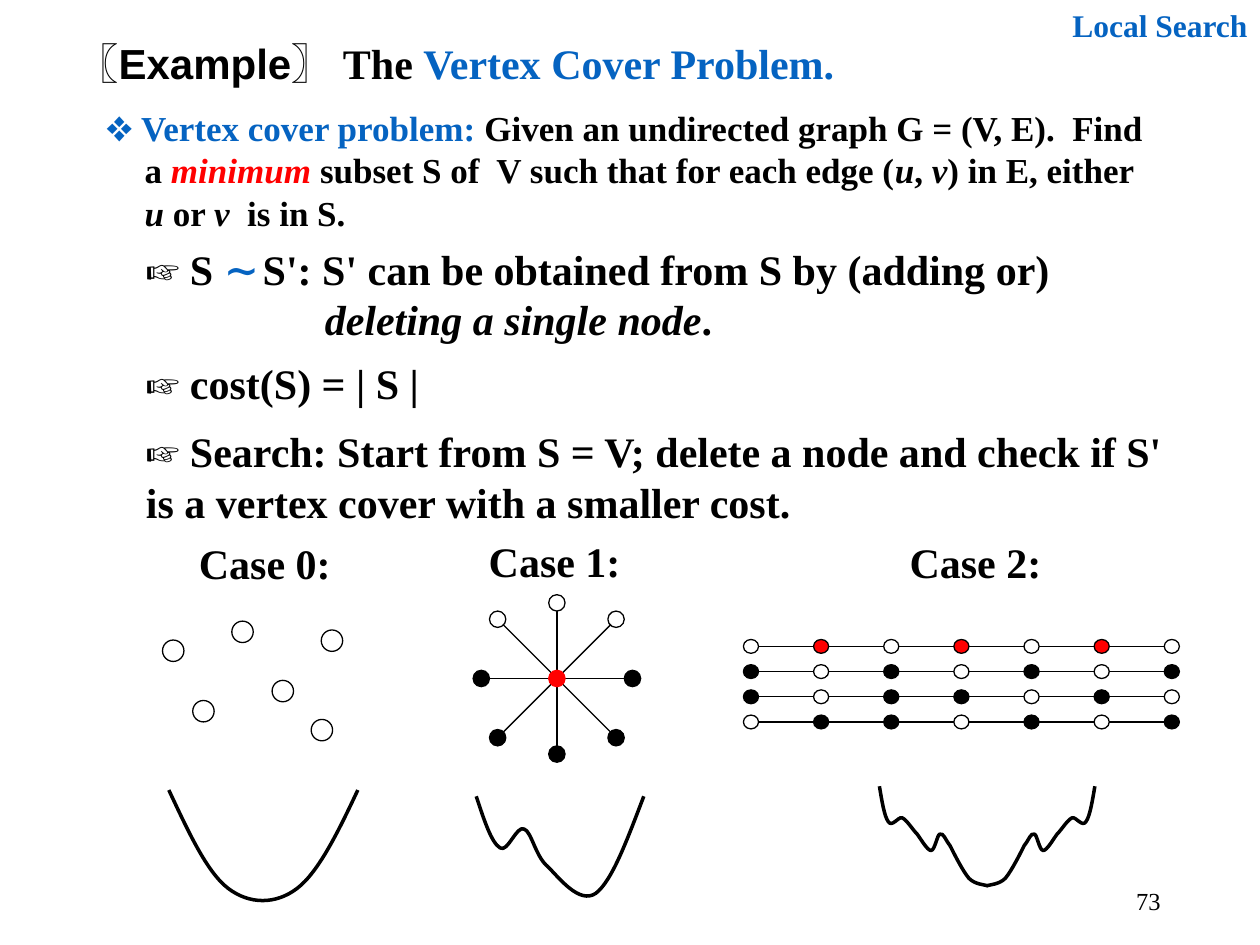
from math import cos, hypot, pi, sin

from lxml.etree import SubElement
from pptx import Presentation
from pptx.dml.color import RGBColor
from pptx.enum.shapes import MSO_CONNECTOR as CONN, MSO_SHAPE as SHAPE
from pptx.enum.text import MSO_ANCHOR as ANCHOR, MSO_AUTO_SIZE as AUTO, PP_ALIGN as ALIGN
from pptx.oxml.ns import qn
from pptx.util import Inches, Pt

COLORS = {"black": "000000", "white": "FFFFFF", "red": "FF0000", "blue": "0563C1"}
BASE = {"name": "Times New Roman", "size": 24, "bold": True, "italic": False, "color": "black"}
CJK = {"name": "Noto Sans CJK SC"}
BLUE = {"color": "blue"}
ITALIC = {"italic": True}
HANGING = (0.31, -0.31)

TEXTS = [
    # box, paragraphs of (text, format) runs, base format, paragraph indents, alignment
    ((7.84, 0, 2.16, 0.4), [[("Local Search", BLUE)]], {"size": 18}, [(0, 0)], ALIGN.RIGHT),
    ((0.51, 0.25, 9, 0.5), [[("〖", CJK), ("Example", {"name": "Arial"}), ("〗 ", CJK),
                             ("The ", {}), ("Vertex Cover Problem.", BLUE)]],
     {}, [HANGING], ALIGN.LEFT),
    ((0.74, 0.8, 8.5, 1.1), [[
        ("❖ Vertex cover problem: ", BLUE),
        ("Given an undirected graph G = (V, E).  Find a ", {}),
        ("minimum", {"color": "red", "italic": True}),
        (" subset S of  V such that for each edge (", {}),
        ("u", ITALIC), (", ", {}), ("v", ITALIC), (") in E, either ", {}),
        ("u", ITALIC), (" or ", {}), ("v", ITALIC), ("  is in S.", {})]],
     {"size": 20}, [HANGING], ALIGN.LEFT),
    ((1.06, 2.79, 2.84, 0.5), [[("☞ cost(S) = | S |", {})]], {}, [(0, 0)], ALIGN.LEFT),
    ((1.06, 1.88, 7.8, 0.9), [
        [("☞ S ", {}), ("∼", BLUE), (" S': S' can be obtained from S by (adding or)", {})],
        [("deleting a single node", ITALIC), (".", {})]],
     {}, [(0, 0), (1.42, 0)], ALIGN.LEFT),
    ((1.06, 3.33, 8.43, 0.9), [[
        ("☞ Search: Start from S = V; delete a node and check if S' "
         "is a vertex cover with a smaller cost.", {})]], {}, [(0, 0)], ALIGN.LEFT),
]
CASE_LABELS = [(1.48, 4.22), (3.78, 4.2), (7.12, 4.21)]

LONE_NODES = [(1.29, 5.08), (1.53, 5.56), (1.84, 4.93), (2.16, 5.4), (2.55, 5), (2.47, 5.71)]
STAR_COLORS = ["black"] * 5 + ["white"] * 3  # clockwise from the right
NODE_COLORS = {"W": "white", "K": "black", "R": "red"}
PATH_ROWS = {5.13: "WRWRWRW", 5.33: "KWKWKWK", 5.53: "KWKKWKW", 5.73: "WKKWKWK"}

# Bezier curves: a start point, then two controls and an end for each piece
VALLEY = [(1.34, 6.27), (1.49, 6.59), (1.64, 6.92), (1.81, 7.05), (1.98, 7.18), (2.19, 7.18),
          (2.36, 7.05), (2.53, 6.92), (2.69, 6.59), (2.84, 6.27)]
LOCAL_DIP = [(3.78, 6.32), (3.84, 6.5), (3.9, 6.69), (3.97, 6.73), (4.03, 6.77), (4.1, 6.55),
             (4.16, 6.58), (4.22, 6.6), (4.25, 6.8), (4.35, 6.88), (4.44, 6.97), (4.6, 7.18),
             (4.73, 7.09), (4.86, 6.99), (4.98, 6.66), (5.11, 6.32)]
MANY_DIPS = [(6.98, 6.24), (7, 6.36), (7.02, 6.48), (7.05, 6.52), (7.08, 6.57), (7.13, 6.48),
             (7.16, 6.49), (7.2, 6.51), (7.24, 6.58), (7.28, 6.62), (7.31, 6.66), (7.36, 6.75),
             (7.39, 6.75), (7.42, 6.75), (7.44, 6.62), (7.46, 6.62), (7.49, 6.61), (7.5, 6.66),
             (7.54, 6.71), (7.57, 6.77), (7.64, 6.91), (7.69, 6.97), (7.74, 7.02), (7.81, 7.02),
             (7.84, 7.03)]
MIRROR_SUM = 15.67  # x values of mirrored points add up to this


def rgb(name):
    return RGBColor.from_string(COLORS[name])


def add_run(p, text, fmt):
    r = p.add_run()
    r.text = text
    values = {**fmt, "size": Pt(fmt["size"])}
    r.font.color.rgb = rgb(values.pop("color"))
    for key, value in values.items():
        setattr(r.font, key, value)
    if fmt["name"] == CJK["name"]:
        SubElement(r.font._element, qn("a:ea"), typeface=fmt["name"])


def add_text(s, box, paragraphs, base, indents, align):
    tf = s.shapes.add_textbox(*map(Inches, box)).text_frame
    tf.word_wrap = True
    tf.auto_size = AUTO.SHAPE_TO_FIT_TEXT
    for i, (runs, (margin, indent)) in enumerate(zip(paragraphs, indents)):
        p = tf.add_paragraph() if i else tf.paragraphs[0]
        p.alignment = align
        if margin:
            pPr = p._p.get_or_add_pPr()
            pPr.set("marL", str(Inches(margin)))
            pPr.set("indent", str(Inches(indent)))
        for text, fmt in runs:
            add_run(p, text, {**BASE, **base, **fmt})
    return tf


def add_node(shapes, cx, cy, w, h, fill, line="black"):
    """Draw an ellipse around its centre."""
    sp = shapes.add_shape(SHAPE.OVAL, *map(Inches, (cx - w / 2, cy - h / 2, w, h)))
    sp.shadow.inherit = False
    sp.fill.solid()
    sp.fill.fore_color.rgb = rgb(fill)
    sp.line.color.rgb = rgb(line)
    sp.line.width = Pt(0.75)


def add_edge(shapes, x1, y1, x2, y2):
    line = shapes.add_connector(CONN.STRAIGHT, *map(Inches, (x1, y1, x2, y2)))
    line.line.color.rgb = rgb("black")
    line.line.width = Pt(0.75)
    SubElement(line._element.spPr, qn("a:effectLst"))


def add_curve(shapes, points):
    """Draw a chain of cubic Bezier pieces as one open outline."""
    start, *rest = [(Inches(x), Inches(y)) for x, y in points]
    builder = shapes.build_freeform(*start)
    builder.add_line_segments(rest, close=False)
    sp = builder.convert_to_shape()
    outline = next(sp._element.iter(qn("a:path")))
    segments = outline.findall(qn("a:lnTo"))
    for i in range(0, len(segments), 3):
        piece = SubElement(outline, qn("a:cubicBezTo"))
        for segment in segments[i:i + 3]:
            piece.append(segment[0])
            outline.remove(segment)
    sp.shadow.inherit = False
    sp.fill.background()
    sp.line.color.rgb = rgb("black")
    sp.line.width = Pt(2)


def add_lone_nodes(shapes):
    size = 0.17
    for x, y in LONE_NODES:
        add_node(shapes, x + size / 2, y + size / 2, size, size, "white")


def add_star(shapes):
    cx, cy, size = 4.42, 5.385, 0.13
    for i, color in enumerate(STAR_COLORS):
        reach = hypot(0.47, 0.47) if i % 2 else 0.6
        dx, dy = cos(i * pi / 4), sin(i * pi / 4)
        near, far = size / 2, reach - size / 2
        add_edge(shapes, cx + near * dx, cy + near * dy, cx + far * dx, cy + far * dy)
        add_node(shapes, cx + reach * dx, cy + reach * dy, size, size, color)
    add_node(shapes, cx, cy, size, size, "red", "red")


def add_path_row(shapes, cy, pattern):
    first, last, w, h = 5.96, 9.3, 0.12, 0.11
    step = (last - first) / (len(pattern) - 1)
    for i, code in enumerate(pattern):
        cx = first + i * step
        if i:
            add_edge(shapes, cx - step + w / 2, cy, cx - w / 2, cy)
        add_node(shapes, cx, cy, w, h, NODE_COLORS[code])


def main():
    prs = Presentation()
    prs.slide_width, prs.slide_height = Inches(10), Inches(7.5)
    s = prs.slides.add_slide(prs.slide_layouts[6])
    for text in TEXTS:
        add_text(s, *text)
    for i, (x, y) in enumerate(CASE_LABELS):
        add_text(s, (x, y, 1.42, 0.5), [[(f"Case {i}:", {})]], {}, [(0, 0)], ALIGN.LEFT)
    tf = add_text(s, (7.06, 6.95, 2.25, 0.4), [[("73", {})]],
                  {"size": 14, "bold": False}, [(0, 0)], ALIGN.RIGHT)
    tf.auto_size = AUTO.NONE
    tf.vertical_anchor = ANCHOR.MIDDLE

    add_lone_nodes(s.shapes.add_group_shape().shapes)
    add_star(s.shapes.add_group_shape().shapes)
    paths = s.shapes.add_group_shape().shapes
    for cy, pattern in PATH_ROWS.items():
        add_path_row(paths, cy, pattern)

    add_curve(s.shapes, VALLEY)
    add_curve(s.shapes, LOCAL_DIP)
    halves = s.shapes.add_group_shape().shapes
    add_curve(halves, MANY_DIPS)
    add_curve(halves, [(MIRROR_SUM - x, y) for x, y in MANY_DIPS])
    prs.save("out.pptx")


if __name__ == "__main__":
    main()
